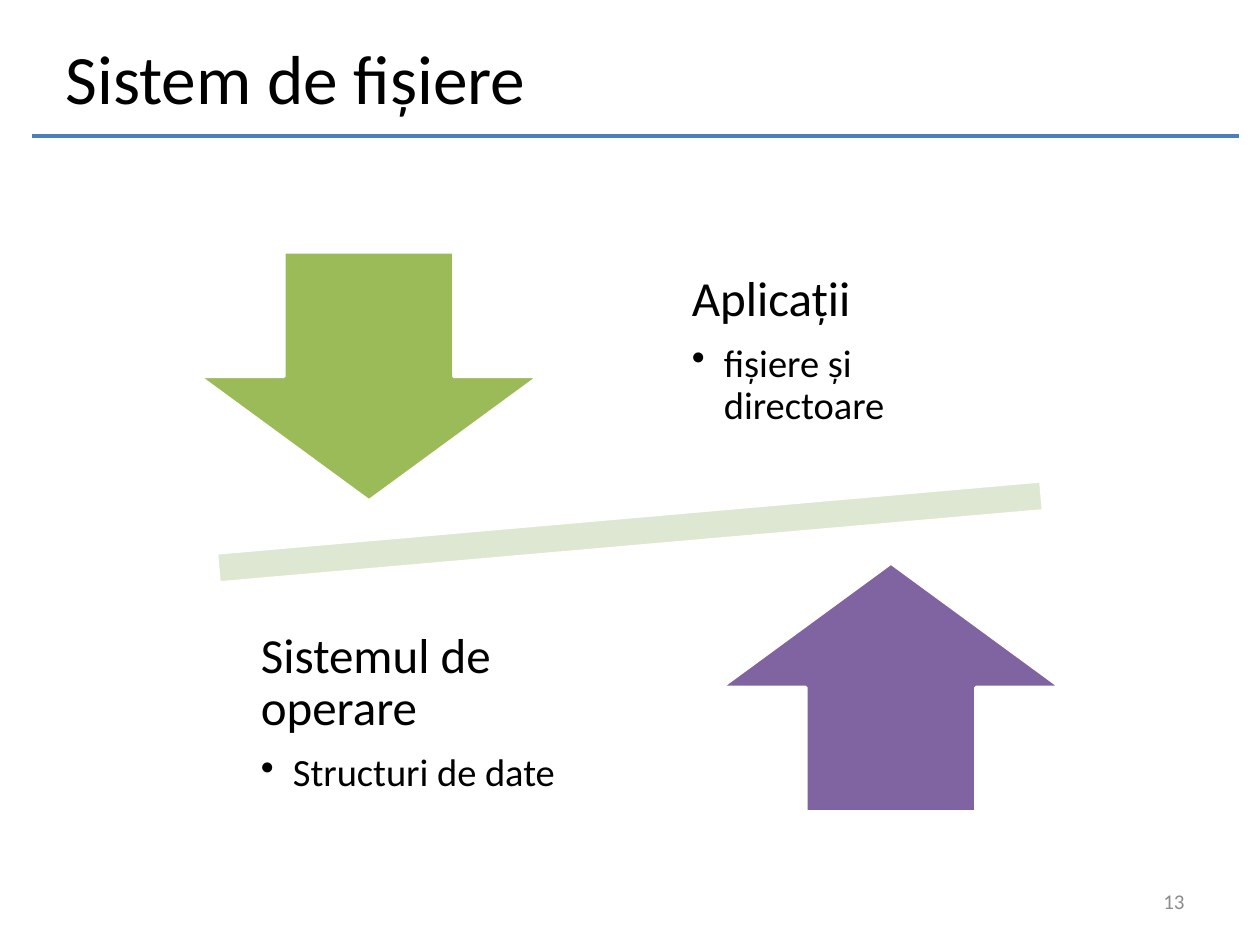
from dataclasses import dataclass

from lxml.etree import SubElement
from pptx import Presentation
from pptx.dml.color import RGBColor
from pptx.enum.shapes import MSO_CONNECTOR as Connector, MSO_SHAPE as Shape
from pptx.enum.text import MSO_ANCHOR as Anchor, PP_ALIGN as Align
from pptx.oxml.ns import qn
from pptx.util import Emu, Pt


@dataclass(frozen=True)
class Theme:
    font: str = "Calibri"
    text: str = "000000"
    muted: str = "8C8C8C"
    rule: str = "4B7EBC"
    outline: str = "FFFFFF"
    bar: str = "DEE7D1"
    green: str = "9BBB59"
    purple: str = "8064A2"
    title_size: float = 39.6
    heading_size: float = 28
    item_size: float = 22
    number_size: float = 12
    line_width: float = 2


THEME = Theme()
PX_PER_INCH = 126
ARROW_SIZE = (340, 249)
LABEL_SIZE = (363, 262)
LABEL_INSET = 28
BULLET_INDENT = 32


def px(length):
    return Emu(round(length * 914400 / PX_PER_INCH))


def color(value):
    return RGBColor.from_string(value)


def add_run(paragraph, text, size, text_color=THEME.text):
    run = paragraph.add_run()
    run.text = text
    run.font.name = THEME.font
    run.font.size = Pt(size)
    run.font.color.rgb = color(text_color)


def add_frame(slide, left, top, width, height):
    """Add a wrapping, vertically centred text box and return its frame."""
    box = slide.shapes.add_textbox(px(left), px(top), px(width), px(height))
    frame = box.text_frame
    frame.word_wrap = True
    frame.vertical_anchor = Anchor.MIDDLE
    return frame


def add_rule(slide, left, right, y):
    line = slide.shapes.add_connector(
        Connector.STRAIGHT, px(left), px(y), px(right), px(y))
    line.line.color.rgb = color(THEME.rule)
    line.line.width = Pt(THEME.line_width)
    SubElement(line._element.spPr, qn("a:effectLst"))


def add_figure(slide, kind, left, top, width, height, fill, rotation=0):
    shape = slide.shapes.add_shape(
        kind, px(left), px(top), px(width), px(height))
    shape.shadow.inherit = False
    shape.rotation = rotation
    shape.fill.solid()
    shape.fill.fore_color.rgb = color(fill)
    shape.line.color.rgb = color(THEME.outline)
    shape.line.width = Pt(THEME.line_width)


def add_bullet(paragraph):
    properties = paragraph._p.get_or_add_pPr()
    properties.set("lvl", "1")
    properties.set("marL", str(px(BULLET_INDENT)))
    properties.set("indent", str(-px(BULLET_INDENT)))
    SubElement(properties, qn("a:buChar"), char="•")


def add_label(slide, left, top, heading, item):
    """Add a heading with one bulleted item below it."""
    frame = add_frame(slide, left, top, *LABEL_SIZE)
    frame.margin_left = frame.margin_right = px(LABEL_INSET)
    frame.margin_top = frame.margin_bottom = px(LABEL_INSET)
    rows = (
        (frame.paragraphs[0], heading, THEME.heading_size, 0.35),
        (frame.add_paragraph(), item, THEME.item_size, 0.15),
    )
    for paragraph, text, size, gap in rows:
        paragraph.line_spacing = 0.9
        paragraph.space_after = Pt(size * gap)
        add_run(paragraph, text, size)
    add_bullet(frame.paragraphs[1])


def main():
    presentation = Presentation()
    presentation.slide_width = px(1260)
    presentation.slide_height = px(945)
    slide = presentation.slides.add_slide(presentation.slide_layouts[6])

    # Title and rule
    add_rule(slide, 32, 1239, 136)
    title = add_frame(slide, 53, 38, 987, 78)
    add_run(title.paragraphs[0], "Sistem de fișiere", THEME.title_size)

    # Tilted bar with opposing arrows and their labels
    add_figure(slide, Shape.MATH_MINUS, 67, 468, 1126, 128, THEME.bar, 355)
    add_figure(slide, Shape.DOWN_ARROW, 199, 252, *ARROW_SIZE, THEME.green)
    add_label(slide, 664, 220, "Aplicații", "fișiere și directoare")
    add_figure(slide, Shape.UP_ARROW, 721, 563, *ARROW_SIZE, THEME.purple)
    add_label(slide, 233, 582, "Sistemul de operare", "Structuri de date")

    # Slide number
    number = add_frame(slide, 903, 876, 294, 50).paragraphs[0]
    number.alignment = Align.RIGHT
    add_run(number, "13", THEME.number_size, THEME.muted)

    presentation.save("out.pptx")


if __name__ == "__main__":
    main()
